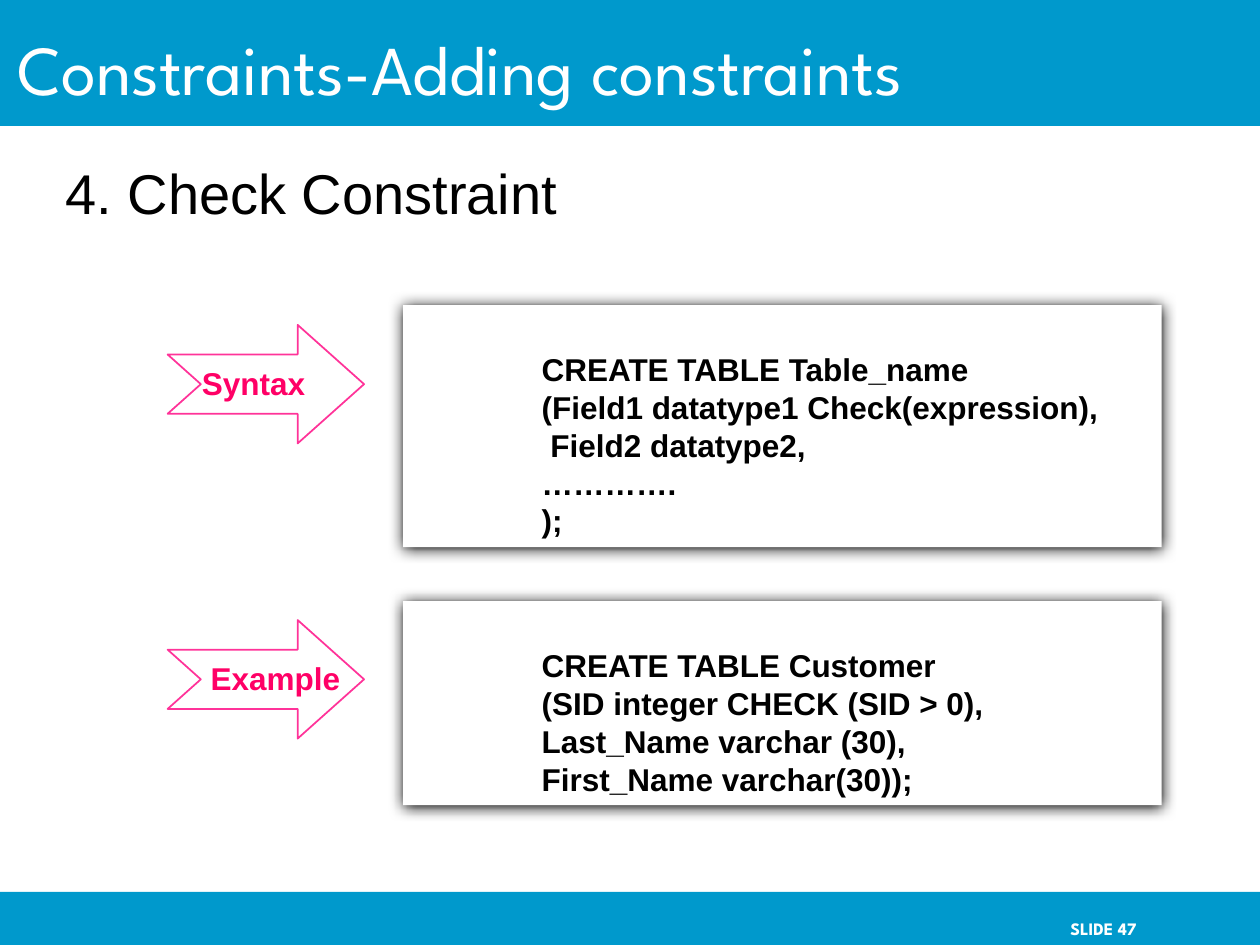
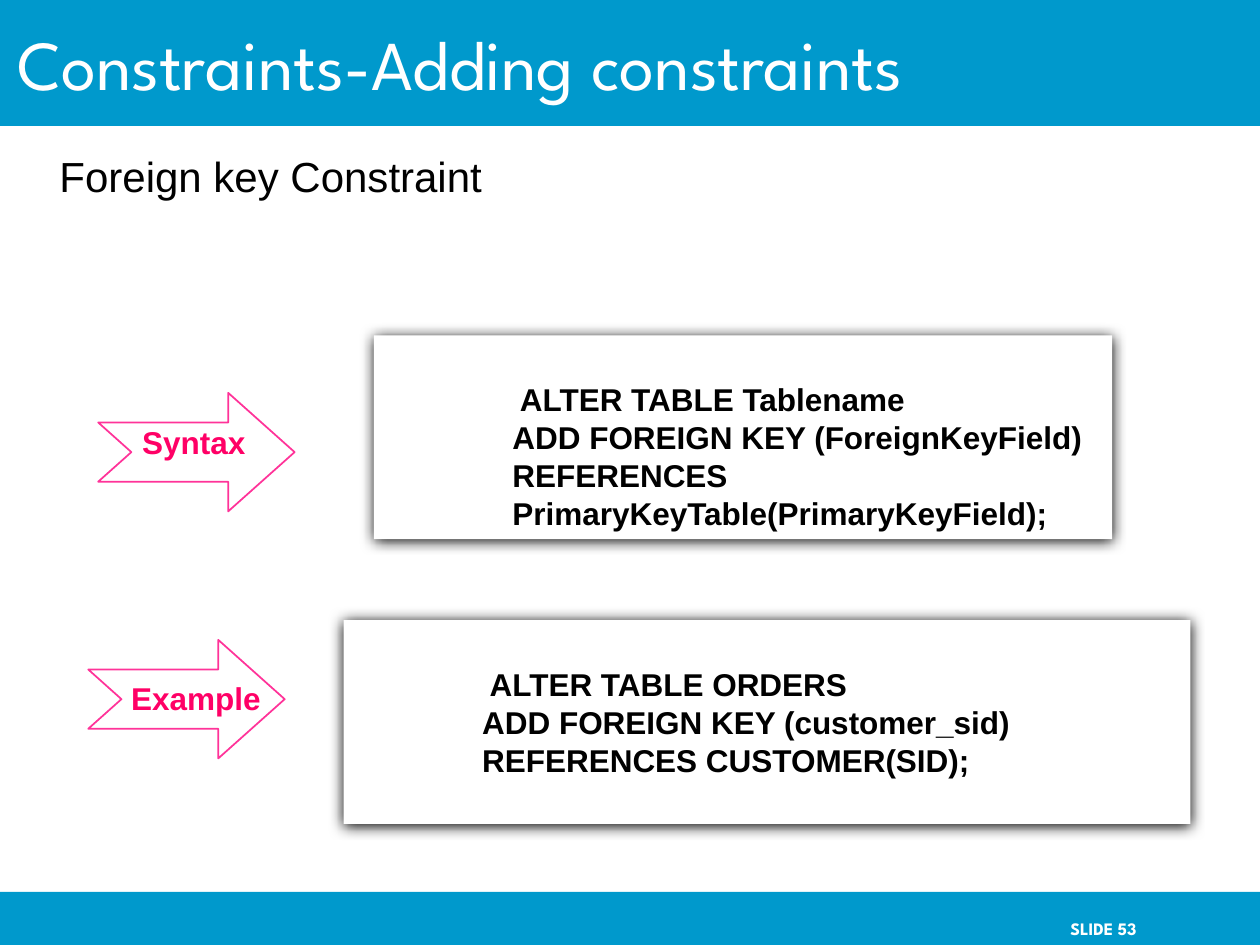
import pptx
import pptx.util
import pptx.dml.color
import pptx.enum.shapes
import pptx.enum.text
import pptx.oxml.ns
from dataclasses import dataclass
from lxml import etree

Cm, Pt = pptx.util.Cm, pptx.util.Pt
Kind = pptx.enum.shapes.MSO_SHAPE
Anchor = pptx.enum.text.MSO_ANCHOR
Align = pptx.enum.text.PP_ALIGN
qn = pptx.oxml.ns.qn

HUES = {"band": "0099CC", "paper": "FFFFFF", "ink": "000000",
        "edge": "FF3399", "label": "FF0066"}
HEAD, BODY = "League Spartan", "Arial"
WIDE, HIGH = 25.4, 19.05


# All lengths below are in centimetres
@dataclass
class Box:
    left: float
    top: float
    width: float
    height: float

    def spots(self) -> list:
        return [Cm(v) for v in (self.left, self.top, self.width, self.height)]


@dataclass
class Pad:
    left: float = 0.25
    top: float = 0.13
    right: float = 0.25
    base: float = 0.13


@dataclass
class Style:
    size: float
    hue: str
    font: str = BODY
    bold: bool = False
    anchor: Anchor = Anchor.TOP
    align: Align = Align.LEFT
    pad: Pad = None


@dataclass
class Sample:
    label: str
    left: float
    top: float
    panel: Box
    code: str
    shift: tuple = (0.44, 0.66)


@dataclass
class Page:
    number: int
    title: Box
    topic: str
    size: float
    body: Box
    samples: list


BANDS = [Box(0, 0, WIDE, 2.54), Box(0, 17.98, WIDE, 1.07)]
FOOT = Box(18.85, 17.98, 5.28, 1.07)
ARROW = (3.96, 2.39)
LABEL = (3.73, 1.73)

TITLE = Style(40, "paper", HEAD, anchor=Anchor.MIDDLE)
NUMBER = Style(10, "paper", HEAD, True, Anchor.MIDDLE, Align.RIGHT,
               Pad(top=0.55, right=1.22))
NAME = Style(18, "label", bold=True)
CODE = Style(18, "ink", bold=True, pad=Pad(left=2.79, top=0.91))

PAGES = [
    Page(47, Box(0.1, 0.58, 22.07, 1.57), "4. Check Constraint", 32,
         Box(1.07, 2.97, 22.86, 13.77), [
             Sample("Syntax", 3.38, 6.55, Box(8.13, 6.15, 15.29, 4.88),
                    "CREATE TABLE Table_name\n"
                    "(Field1 datatype1 Check(expression),\n"
                    " Field2 datatype2,\n………….\n);"),
             Sample(" Example", 3.38, 12.5, Box(8.13, 12.12, 15.29, 4.11),
                    "CREATE TABLE Customer\n(SID integer CHECK (SID > 0),\n"
                    "Last_Name varchar (30),\nFirst_Name varchar(30));")]),
    Page(53, Box(0.1, 0, 21.59, 2.54), "Foreign key Constraint", 24,
         Box(0.95, 2.82, 24.2, 15.11), [
             Sample(" Syntax", 1.98, 7.92, Box(7.54, 6.76, 14.88, 4.11),
                    " ALTER TABLE Tablename\n"
                    "ADD FOREIGN KEY (ForeignKeyField) "
                    "REFERENCES PrimaryKeyTable(PrimaryKeyField);",
                    (0.46, 0.48)),
             Sample(" Example", 1.78, 12.9, Box(6.93, 12.5, 17.07, 4.11),
                    " ALTER TABLE ORDERS\nADD FOREIGN KEY (customer_sid) "
                    "REFERENCES CUSTOMER(SID);")]),
]


def tint(name: str) -> pptx.dml.color.RGBColor:
    return pptx.dml.color.RGBColor.from_string(HUES[name])


def write(shape, text: str, style: Style) -> None:
    frame, pad = shape.text_frame, style.pad or Pad()
    frame.text = text
    frame.word_wrap = True
    frame.auto_size = pptx.enum.text.MSO_AUTO_SIZE.NONE
    frame.vertical_anchor = style.anchor
    frame.margin_left, frame.margin_top = Cm(pad.left), Cm(pad.top)
    frame.margin_right, frame.margin_bottom = Cm(pad.right), Cm(pad.base)
    for line in frame.paragraphs:
        line.alignment = style.align
        for run in line.runs:
            run.font.name, run.font.size = style.font, Pt(style.size)
            run.font.bold = style.bold
            run.font.color.rgb = tint(style.hue)


def draw(shapes, kind: Kind, box: Box, fill: str, edge: str = ""):
    shape = shapes.add_shape(kind, *box.spots())
    shape.shadow.inherit = False
    shape.fill.solid()
    shape.fill.fore_color.rgb = tint(fill)
    if edge:
        shape.line.color.rgb = tint(edge)
        shape.line.width = Pt(1)
    else:
        shape.line.fill.background()
    return shape


def note(shapes, box: Box, text: str, style: Style) -> None:
    write(shapes.add_textbox(*box.spots()), text, style)


def shade(shape) -> None:
    glow = etree.SubElement(shape.element.spPr.find(qn("a:effectLst")),
                            qn("a:outerShdw"), blurRad=str(Pt(8.5)),
                            dist=str(Pt(1)), dir="5400000", algn="ctr",
                            rotWithShape="0")
    etree.SubElement(glow, qn("a:srgbClr"), val=HUES["ink"])


def show(slide, item: Sample) -> None:
    # Labelled arrow
    group = slide.shapes.add_group_shape().shapes
    arrow = draw(group, Kind.NOTCHED_RIGHT_ARROW,
                 Box(item.left, item.top, *ARROW), "paper", "edge")
    arrow.adjustments[0], arrow.adjustments[1] = 0.5, 0.56
    across, down = item.shift
    note(group, Box(item.left + across, item.top + down, *LABEL),
         item.label, NAME)
    # Code panel
    panel = draw(slide.shapes, Kind.RECTANGLE, item.panel, "paper")
    shade(panel)
    write(panel, item.code, CODE)


def build(deck, page: Page) -> None:
    slide = deck.slides.add_slide(deck.slide_layouts[5])
    # Bands and slide number
    for band in BANDS:
        draw(slide.shapes, Kind.RECTANGLE, band, "band")
    note(slide.shapes, FOOT, f"SLIDE {page.number}", NUMBER)
    # Title, raised above its band
    title = slide.shapes.title
    title.element.getparent().append(title.element)
    title.left, title.top, title.width, title.height = page.title.spots()
    write(title, "Constraints-Adding constraints", TITLE)
    # Topic and samples
    note(slide.shapes, page.body, page.topic,
         Style(page.size, "ink", pad=Pad(top=0.22)))
    for item in page.samples:
        show(slide, item)


def main() -> None:
    deck = pptx.Presentation()
    deck.slide_width, deck.slide_height = Cm(WIDE), Cm(HIGH)
    for page in PAGES:
        build(deck, page)
    deck.save("out.pptx")


if __name__ == "__main__":
    main()
